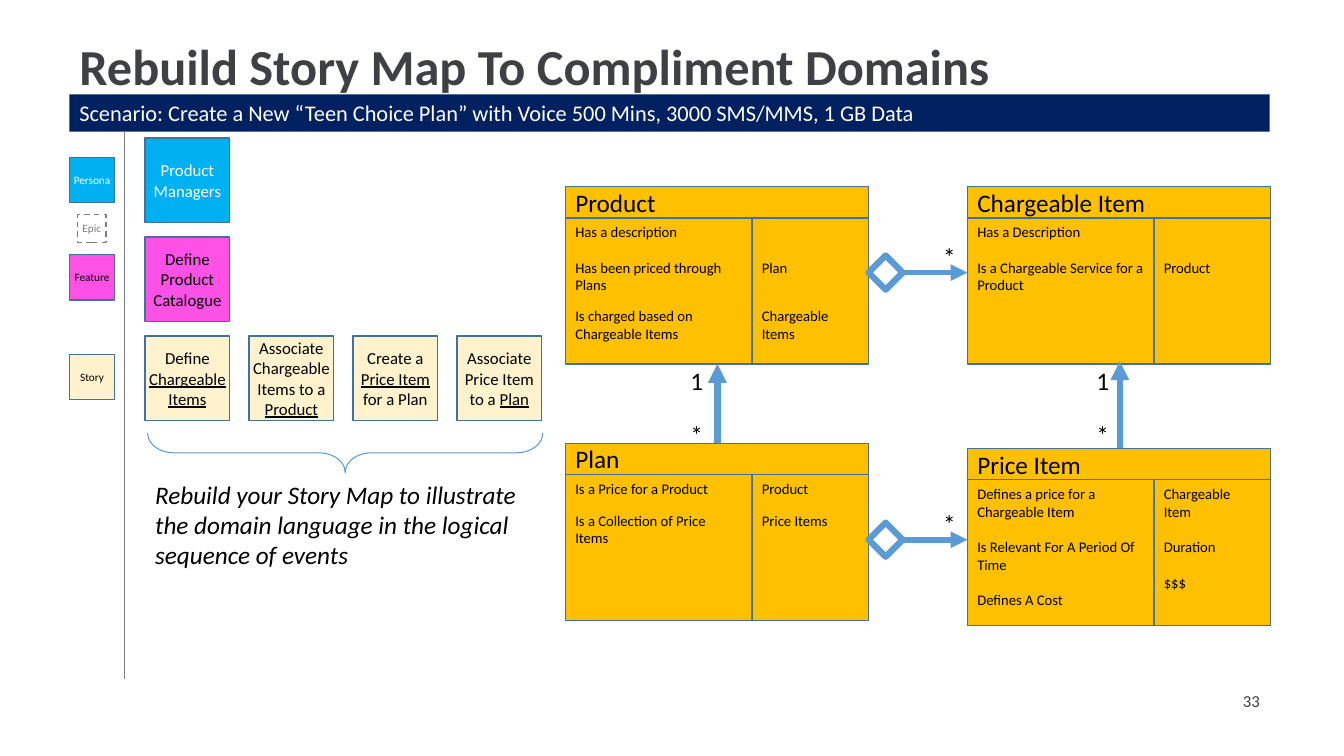
from dataclasses import dataclass

from lxml.etree import SubElement
from pptx import Presentation
from pptx.dml.color import RGBColor
from pptx.enum.dml import MSO_LINE
from pptx.enum.shapes import MSO_CONNECTOR, MSO_SHAPE
from pptx.enum.text import MSO_ANCHOR, MSO_AUTO_SIZE, PP_ALIGN
from pptx.oxml.ns import qn
from pptx.util import Cm, Pt


@dataclass(frozen=True)
class Theme:
    font: str = "Calibri"
    heading: str = "3E4043"
    navy: str = "002060"
    white: str = "FFFFFF"
    black: str = "000000"
    gray: str = "7F7F7F"
    persona: str = "00B0F0"
    feature: str = "FF51E5"
    story: str = "FFF2CC"
    card: str = "FFC000"
    border: str = "42719B"
    link: str = "5B9BD5"
    title_size: float = 36
    large: float = 18
    banner_size: float = 16
    note_size: float = 12
    card_size: float = 10.5
    legend_size: float = 8


THEME = Theme()


@dataclass(frozen=True)
class Box:
    left: float
    top: float
    width: float
    height: float


@dataclass(frozen=True)
class Span:
    text: str
    underline: bool = False


@dataclass(frozen=True)
class Line:
    spans: tuple[Span, ...]
    gap: float = 0


@dataclass(frozen=True)
class Style:
    size: float
    color: str = THEME.black
    bold: bool = False
    italic: bool = False
    align: PP_ALIGN = PP_ALIGN.LEFT
    anchor: MSO_ANCHOR = MSO_ANCHOR.TOP
    inset_x: float = 0.25
    inset_y: float = 0.13


@dataclass(frozen=True)
class Note:
    box: Box
    fill: str | None
    spans: tuple[Span, ...]
    size: float = THEME.note_size
    color: str = THEME.black


@dataclass(frozen=True)
class Card:
    left: float
    top: float
    name: str
    duties: tuple[Line, ...]
    partners: tuple[Line, ...]
    partner_inset: float = 0.13


def line(text: str, gap: float = 0) -> Line:
    return Line((Span(text),), gap)


def assign(target, values: dict) -> None:
    for name, value in values.items():
        setattr(target, name, value)


def write(shape, lines: tuple[Line, ...], style: Style) -> None:
    frame = shape.text_frame
    assign(frame, {"word_wrap": True, "auto_size": MSO_AUTO_SIZE.NONE,
                   "vertical_anchor": style.anchor,
                   "margin_left": Cm(style.inset_x), "margin_right": Cm(style.inset_x),
                   "margin_top": Cm(style.inset_y), "margin_bottom": Cm(0.13)
                   if style.inset_y > 0.13 else Cm(style.inset_y)})
    for index, entry in enumerate(lines):
        para = frame.add_paragraph() if index else frame.paragraphs[0]
        para.alignment = style.align
        if index:
            para.space_before = Pt(entry.gap)
        for span in entry.spans:
            run = para.add_run()
            run.text = span.text
            assign(run.font, {"name": THEME.font, "size": Pt(style.size), "bold": style.bold,
                              "italic": style.italic, "underline": span.underline})
            run.font.color.rgb = RGBColor.from_string(style.color)


def place(box: Box) -> tuple[Cm, Cm, Cm, Cm]:
    return Cm(box.left), Cm(box.top), Cm(box.width), Cm(box.height)


def add_label(page, box: Box, lines: tuple[Line, ...], style: Style) -> None:
    write(page.shapes.add_textbox(*place(box)), lines, style)


def add_figure(page, kind: MSO_SHAPE, box: Box, fill: str | None,
               stroke: str | None = THEME.border, weight: float = 1):
    shape = page.shapes.add_shape(kind, *place(box))
    shape.shadow.inherit = False
    if fill:
        shape.fill.solid()
        shape.fill.fore_color.rgb = RGBColor.from_string(fill)
    else:
        shape.fill.background()
    if stroke:
        shape.line.color.rgb = RGBColor.from_string(stroke)
        shape.line.width = Pt(weight)
    else:
        shape.line.fill.background()
    return shape


def add_link(page, start: tuple[float, float], end: tuple[float, float],
             color: str, weight: float, arrow: bool = True) -> None:
    link = page.shapes.add_connector(MSO_CONNECTOR.STRAIGHT, *map(Cm, start + end))
    link.line.color.rgb = RGBColor.from_string(color)
    link.line.width = Pt(weight)
    if arrow:
        SubElement(link.line._get_or_add_ln(), qn("a:tailEnd"), type="triangle")
    SubElement(link._element.spPr, qn("a:effectLst"))


def add_note(page, note: Note) -> None:
    shape = add_figure(page, MSO_SHAPE.RECTANGLE, note.box, note.fill,
                       THEME.border if note.fill else THEME.gray)
    if not note.fill:
        shape.line.dash_style = MSO_LINE.DASH
    write(shape, (Line(note.spans),),
          Style(note.size, note.color, align=PP_ALIGN.CENTER, anchor=MSO_ANCHOR.MIDDLE,
                inset_x=0.08, inset_y=0.08))


HEAD, BODY, DUTY_WIDTH, CARD_WIDTH = 0.79, 3.68, 4.7, 7.64


def add_card(page, card: Card) -> None:
    body_top = card.top + HEAD
    parts = (
        (Box(card.left, body_top, DUTY_WIDTH, BODY), card.duties, Style(THEME.card_size)),
        (Box(card.left + DUTY_WIDTH, body_top, CARD_WIDTH - DUTY_WIDTH, BODY), card.partners,
         Style(THEME.card_size, inset_y=card.partner_inset)),
        (Box(card.left, card.top, CARD_WIDTH, HEAD), (line(card.name),),
         Style(THEME.large, anchor=MSO_ANCHOR.MIDDLE)),
    )
    for box, lines, style in parts:
        write(add_figure(page, MSO_SHAPE.RECTANGLE, box, THEME.card), lines, style)


# Grid of the story map and the domain cards, in centimetres
EDGE, FULL, MAP_LEFT, SIDE, PITCH = 1.75, 30.25, 3.66, 2.13, 2.62
KEY_SIDE, MAP_WIDTH = 1.14, 9.96
LEFT_CARD, RIGHT_CARD, TOP_ROW = 14.25, 24.38, 4.7
PLAN_TOP, PRICE_TOP = 11.17, 11.3
BLANK = 12.8

STORIES = (
    (Span("Define "), Span("Chargeable Items", True)),
    (Span("Associate Chargeable Items to a "), Span("Product", True)),
    (Span("Create a "), Span("Price Item ", True), Span("for a Plan")),
    (Span("Associate Price Item to a "), Span("Plan", True)),
)
NOTES = [
    Note(Box(MAP_LEFT, 3.48, SIDE, SIDE), THEME.persona, (Span("Product Managers"),),
         color=THEME.white),
    Note(Box(MAP_LEFT, 5.97, SIDE, SIDE), THEME.feature, (Span("Define Product Catalogue"),)),
    Note(Box(EDGE, 3.97, KEY_SIDE, KEY_SIDE), THEME.persona, (Span("Persona"),),
         THEME.legend_size, THEME.white),
    Note(Box(1.96, 5.4, 0.71, 0.71), None, (Span("Epic"),), THEME.legend_size, THEME.gray),
    Note(Box(EDGE, 6.42, KEY_SIDE, KEY_SIDE), THEME.feature, (Span("Feature"),),
         THEME.legend_size),
    Note(Box(EDGE, 8.93, KEY_SIDE, KEY_SIDE), THEME.story, (Span("Story"),), THEME.legend_size),
] + [Note(Box(MAP_LEFT + column * PITCH, 8.47, SIDE, SIDE), THEME.story, spans)
     for column, spans in enumerate(STORIES)]
CARDS = (
    Card(LEFT_CARD, TOP_ROW, "Product",
         (line("Has a description"), line("Has been priced through Plans", BLANK),
          line("Is charged based on Chargeable Items", 9.4)),
         (line("Plan"), line("Chargeable Items", 22)), 1.03),
    Card(LEFT_CARD, PLAN_TOP, "Plan",
         (line("Is a Price for a Product"), line("Is a Collection of Price Items", 10)),
         (line("Product"), line("Price Items", 10))),
    Card(RIGHT_CARD, TOP_ROW, "Chargeable Item",
         (line("Has a Description"), line("Is a Chargeable Service for a Product", BLANK)),
         (line("Product"),), 1.03),
    Card(RIGHT_CARD, PRICE_TOP, "Price Item",
         (line("Defines a price for a Chargeable Item"),
          line("Is Relevant For A Period Of Time", BLANK), line("Defines A Cost", BLANK)),
         (line("Chargeable Item"), line("Duration", BLANK), line("$$$", BLANK))),
)


def main() -> None:
    deck = Presentation()
    assign(deck, {"slide_width": Cm(33.87), "slide_height": Cm(19.05)})
    page = deck.slides.add_slide(deck.slide_layouts[5])

    # Title, banner and page number
    title = page.shapes.title
    assign(title, dict(zip(("left", "top", "width", "height"), place(Box(EDGE, 0.94, FULL, 1.65)))))
    write(title, (line("Rebuild Story Map To Compliment Domains"),),
          Style(THEME.title_size, THEME.heading, bold=True))
    title.text_frame.paragraphs[0].line_spacing = 0.9
    banner = add_figure(page, MSO_SHAPE.RECTANGLE, Box(EDGE, 2.38, FULL, 0.94), THEME.navy, None)
    write(banner, (line("Scenario: Create a New “Teen Choice Plan” with Voice 500 Mins, "
                        "3000 SMS/MMS, 1 GB Data"),), Style(THEME.banner_size, THEME.white))
    add_label(page, Box(24.38, 17.15, 7.62, 1.02), (line("33"),),
              Style(THEME.note_size, THEME.heading, align=PP_ALIGN.RIGHT,
                    anchor=MSO_ANCHOR.MIDDLE))

    # Story map with its legend
    add_link(page, (3.13, 3.31), (3.13, 17.1), THEME.gray, 0.75, arrow=False)
    for note in NOTES:
        add_note(page, note)
    brace = add_figure(page, MSO_SHAPE.LEFT_BRACE, Box(8.2, 6.43, 1, MAP_WIDTH), None,
                       THEME.link, 0.75)
    brace.rotation = 270
    brace.adjustments[0] = 0.66
    add_label(page, Box(MAP_LEFT, 11.94, MAP_WIDTH, 2.57),
              (line("Rebuild your Story Map to illustrate the domain language "
                    "in the logical sequence of events"),), Style(THEME.large, italic=True))

    # Domain cards
    for card in CARDS:
        add_card(page, card)

    # Aggregations between the columns
    for middle in (6.87, 13.6):
        add_figure(page, MSO_SHAPE.DIAMOND, Box(21.89, middle - 0.43, 0.86, 0.86), None,
                   THEME.link, 4.5)
        add_link(page, (22.75, middle), (RIGHT_CARD, middle), THEME.link, 4)
        add_label(page, Box(23.52, middle - 0.93, 0.84, 1.02), (line("*"),), Style(THEME.large))

    # Associations between the rows
    for across, bottom, top, count_left in ((18.08, PLAN_TOP, 9.17, 17.15),
                                            (28.22, PRICE_TOP, 9.1, 27.38)):
        add_link(page, (across, bottom), (across, top), THEME.link, 4.5)
        add_label(page, Box(count_left, 9.07, 0.84, 2.39), (line("1"), line("*", 17)),
                  Style(THEME.large))

    deck.save("out.pptx")


if __name__ == "__main__":
    main()
